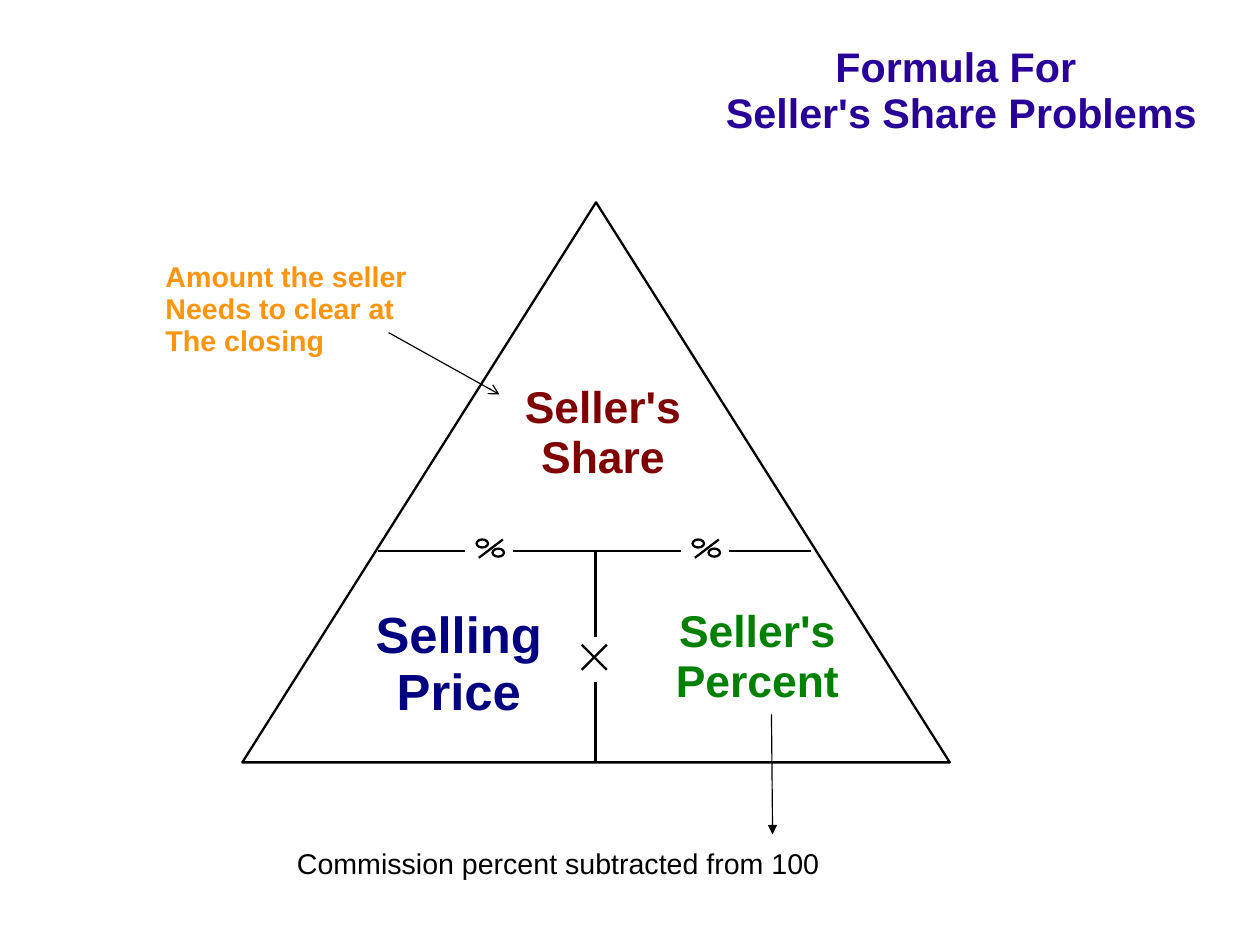
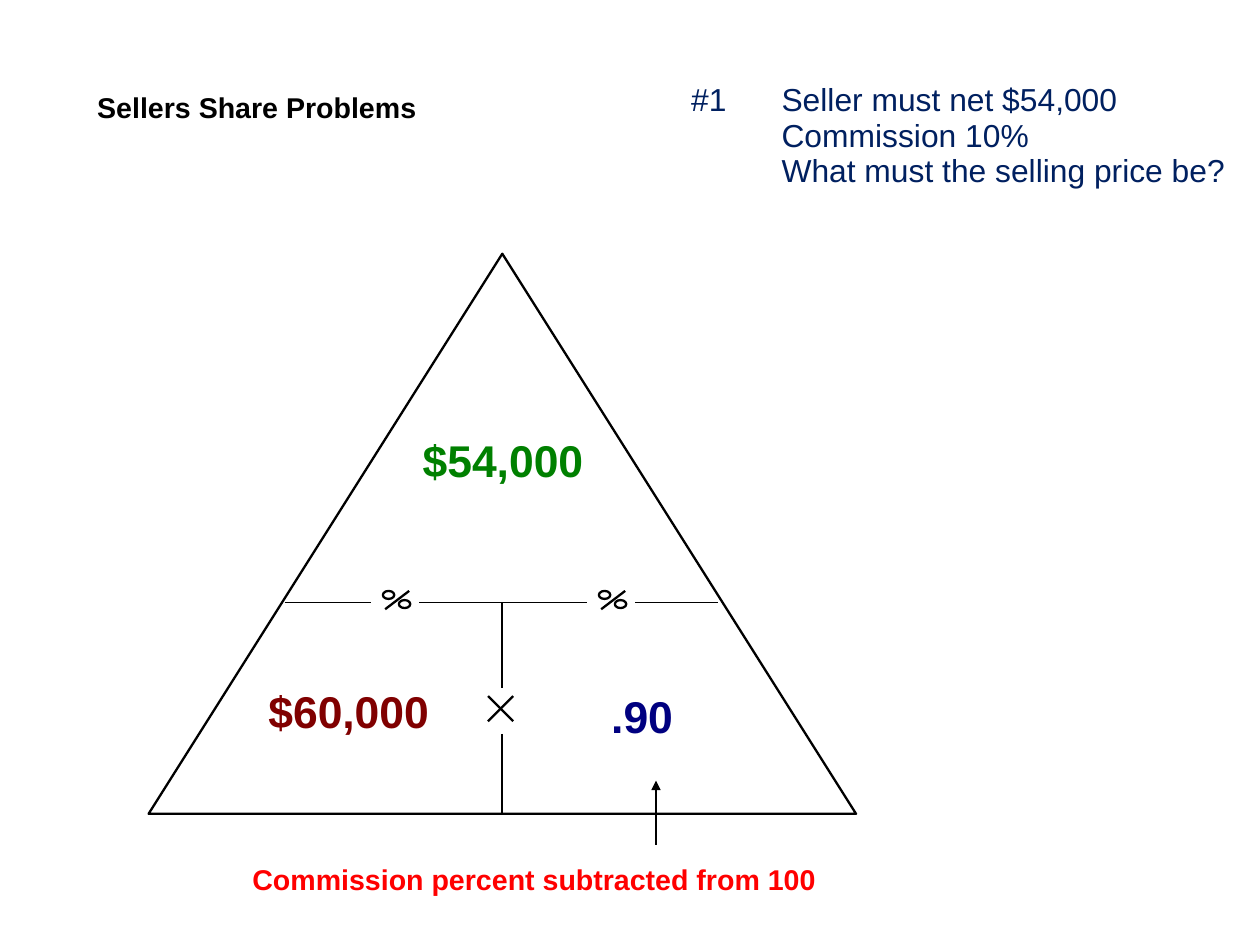
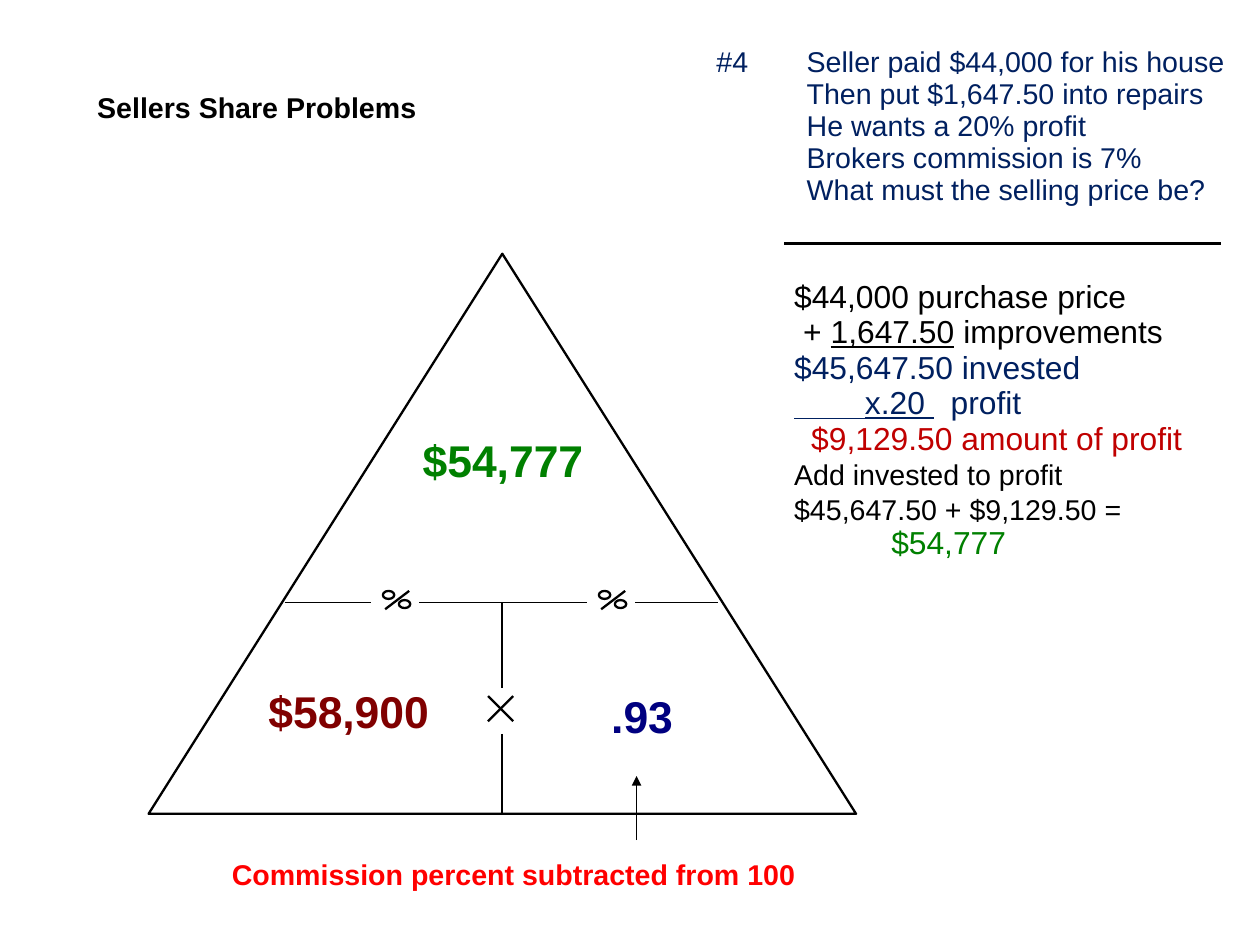
from dataclasses import dataclass

from lxml.etree import SubElement
from pptx import Presentation
from pptx.dml.color import RGBColor
from pptx.enum.shapes import MSO_CONNECTOR, MSO_SHAPE
from pptx.enum.text import MSO_ANCHOR, MSO_AUTO_SIZE, PP_ALIGN
from pptx.oxml.ns import qn
from pptx.util import Emu, Inches, Pt


@dataclass(frozen=True)
class Theme:
    font: str = "Arial"
    black: str = "000000"
    navy: str = "000080"
    green: str = "008000"
    maroon: str = "800000"
    violet: str = "280099"
    orange: str = "FF950E"
    ink: str = "002060"
    red: str = "FF0000"
    crimson: str = "C00000"
    note: int = 18
    body: int = 20
    title: int = 26
    value: int = 28
    large: int = 32
    spacing: float = 0.93
    thin: float = 0.75
    thick: float = 1.45


theme = Theme()


def write(box, place, lines, size, color, bold=False, align=PP_ALIGN.LEFT, tabs=()):
    """Place a box and fill it; a line is a string or a list of (text, format) spans."""
    box.left, box.top, box.width, box.height = map(Inches, place)
    frame = box.text_frame
    frame_format = {
        "word_wrap": True, "auto_size": MSO_AUTO_SIZE.NONE,
        "vertical_anchor": MSO_ANCHOR.TOP,
        "margin_left": Inches(0.1), "margin_right": Inches(0.1),
        "margin_top": Inches(0.07), "margin_bottom": Inches(0.05),
    }
    for name, value in frame_format.items():
        setattr(frame, name, value)
    for index, line in enumerate(lines):
        para = frame.add_paragraph() if index else frame.paragraphs[0]
        para.alignment = align
        para.line_spacing = theme.spacing
        if tabs:
            tab_list = SubElement(para._p.get_or_add_pPr(), qn("a:tabLst"))
            for stop in tabs:
                SubElement(tab_list, qn("a:tab"), pos=str(Inches(stop)), algn="l")
        for text, changes in [(line, {})] if isinstance(line, str) else line:
            span = para.add_run()
            span.text = text
            span_format = {"name": theme.font, "size": Pt(size), "bold": bold,
                           "color": color} | changes
            span.font.color.rgb = RGBColor.from_string(span_format.pop("color"))
            for name, value in span_format.items():
                setattr(span.font, name, value)


def draw_line(shapes, start, end, weight, arrowhead=None, color=theme.black):
    line = shapes.add_connector(MSO_CONNECTOR.STRAIGHT, *map(Inches, start + end))
    line.line.color.rgb = RGBColor.from_string(color)
    line.line.width = Pt(weight)
    properties = line._element.spPr
    if arrowhead:
        SubElement(properties.find(qn("a:ln")), qn("a:tailEnd"), type=arrowhead)
    SubElement(properties, qn("a:effectLst"))


deck = Presentation()
deck.slide_width, deck.slide_height = Emu(10080625), Emu(7559675)
title_only = deck.slide_layouts[5]
pages = [deck.slides.add_slide(title_only) for _ in range(3)]
formula_page, *problem_pages = pages

# The formula triangle, measured from its top left corner
divider_y, middle_x = 3.05, 3.09
divider_lines = [
    ((1.19, divider_y), (1.95, divider_y), theme.thin),
    ((2.37, divider_y), (3.84, divider_y), theme.thin),
    ((4.26, divider_y), (4.98, divider_y), theme.thin),
    ((middle_x, divider_y), (middle_x, 3.8), theme.thick),
    ((middle_x, 4.2), (middle_x, 4.9), theme.thick),
    ((2.97, 4.09), (3.19, 3.87), theme.thick),
    ((2.97, 3.87), (3.19, 4.09), theme.thick),
]
outlines = [(MSO_SHAPE.ISOSCELES_TRIANGLE, 0, 0, 6.19, 4.9)]
for sign_x in (2.05, 3.94):
    sign_y = 2.95
    divider_lines.append(((sign_x + 0.02, sign_y + 0.16), (sign_x + 0.23, sign_y), theme.thick))
    outlines += [(MSO_SHAPE.OVAL, sign_x + dx, sign_y + dy, 0.1, 0.07)
                 for dx, dy in ((0, 0), (0.14, 0.08))]

for page, (left, top) in zip(pages, [(2.12, 1.77), (1.3, 2.22), (1.3, 2.22)]):
    triangle = page.shapes.add_group_shape().shapes
    for kind, x, y, width, height in outlines:
        outline = triangle.add_shape(kind, *map(Inches, (left + x, top + y, width, height)))
        outline.shadow.inherit = False
        outline.fill.background()
        outline.line.color.rgb = RGBColor.from_string(theme.black)
        outline.line.width = Pt(theme.thick)
    for (x1, y1), (x2, y2), weight in divider_lines:
        draw_line(triangle, (left + x1, top + y1), (left + x2, top + y2), weight)

# Formula
write(formula_page.shapes.title, (6.2, 0.33, 4.43, 0.93),
      ["Formula For ", "Seller's Share Problems"],
      theme.title, theme.violet, True, PP_ALIGN.CENTER)
formula_parts = [
    ((4.39, 3.29, 1.77, 1), ["Seller's", "Share"], theme.value, theme.maroon),
    ((3.09, 5.25, 1.85, 1.25), ["Selling", "Price"], theme.large, theme.navy),
    ((5.75, 5.25, 1.75, 1.24), ["Seller's", "Percent"], theme.value, theme.green),
]
for place, lines, size, color in formula_parts:
    write(formula_page.shapes.add_textbox(0, 0, 0, 0), place, lines,
          size, color, True, PP_ALIGN.CENTER)
write(formula_page.shapes.add_textbox(0, 0, 0, 0), (1.35, 2.22, 2.5, 0.96),
      ["Amount the seller", "Needs to clear at", "The closing"],
      theme.note, theme.orange, True)
draw_line(formula_page.shapes, (3.4, 2.91), (4.37, 3.45), theme.thin, "arrow")
commission_note = ["Commission percent subtracted from 100"]
write(formula_page.shapes.add_textbox(0, 0, 0, 0), (2.5, 7.36, 5.2, 0.38),
      commission_note, theme.note, theme.black)
draw_line(formula_page.shapes, (6.75, 6.25), (6.76, 7.3), theme.thin, "triangle")

# Worked problems
problems = [
    {"place": (5.95, 0.66, 5, 1.22), "size": theme.body,
     "lines": ["#1\tSeller must net $54,000", "\tCommission 10%",
               "\tWhat must the selling price be?"],
     "values": ["$54,000", "$60,000", ".90"],
     "note": (2.11, 7.5), "arrow": (5.74, 7.39)},
    {"place": (6.17, 0.34, 4.8, 1.78), "size": theme.note,
     "lines": ["#4\tSeller paid $44,000 for his house",
               "\tThen put $1,647.50 into repairs", "\tHe wants a 20% profit",
               "\tBrokers commission is 7%", "\tWhat must the selling price be?"],
     "values": ["$54,777", "$58,900", ".93"],
     "note": (1.93, 7.45), "arrow": (5.57, 7.35)},
]
value_spots = [(3.6, 3.76, theme.green), (2.25, 5.96, theme.maroon), (5.25, 6, theme.navy)]
for page, problem in zip(problem_pages, problems):
    write(page.shapes.title, (0.75, 0.74, 3.2, 0.38), ["Sellers Share Problems"],
          theme.note, theme.black, True)
    write(page.shapes.add_textbox(0, 0, 0, 0), problem["place"], problem["lines"],
          problem["size"], theme.ink, tabs=[0.79])
    for value, (x, y, color) in zip(problem["values"], value_spots):
        write(page.shapes.add_textbox(0, 0, 0, 0), (x, y, 1.8, 0.54), [value],
              theme.value, color, True)
    write(page.shapes.add_textbox(0, 0, 0, 0), (*problem["note"], 5.4, 0.38),
          commission_note, theme.note, theme.red, True)
    arrow_x, arrow_y = problem["arrow"]
    draw_line(page.shapes, (arrow_x, arrow_y), (arrow_x, arrow_y - 0.56),
              theme.thin, "triangle")

# Sum beside the last problem
sum_page = problem_pages[-1]
draw_line(sum_page.shapes, (6.86, 2.13), (10.68, 2.13), 1.5)
ink = {"color": theme.ink}
small = {"size": Pt(theme.note)}
sum_lines = [
    (0, theme.spacing, "$44,000 purchase price"),
    (0.08, theme.spacing, [("+ ", {}), ("1,647.50", {"underline": True}), (" improvements", {})]),
    (0, theme.spacing, [("$45,647.50 invested", ink)]),
    (0, theme.spacing, [("\t", ink), ("x.20 ", ink | {"underline": True}), ("\tprofit", ink)]),
    (0.15, theme.spacing, [("$9,129.50 amount of profit", {"color": theme.crimson})]),
    (0, 1.0, [("Add invested to profit", small)]),
    (0, 1.0, [("$45,647.50 + $9,129.50 =", small)]),
    (0.85, theme.spacing, [("$54,777", {"color": theme.green})]),
]
sum_box = sum_page.shapes.add_textbox(0, 0, 0, 0)
write(sum_box, (6.85, 2.38, 3.8, 2.58), [line for _, _, line in sum_lines],
      theme.body, theme.black, tabs=[0.62, 1.37])
for para, (indent, spacing, _) in zip(sum_box.text_frame.paragraphs, sum_lines):
    para.line_spacing = spacing
    para._p.get_or_add_pPr().set("marL", str(Inches(indent)))
draw_line(sum_page.shapes, (6.95, 3.66), (7.57, 3.66), theme.thin, color=theme.ink)

deck.save("out.pptx")
